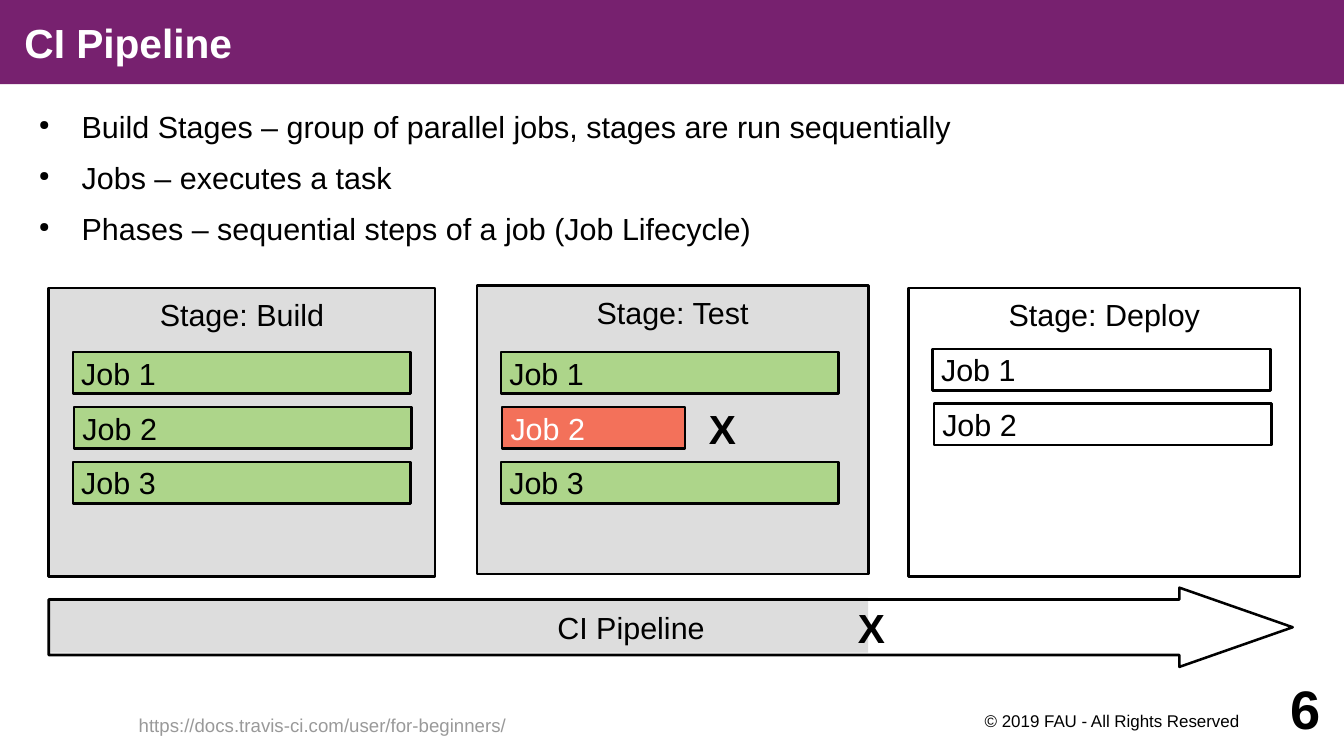
from lxml import etree
from pptx import Presentation
from pptx.dml.color import RGBColor
from pptx.enum.shapes import MSO_SHAPE
from pptx.enum.text import MSO_ANCHOR, PP_ALIGN
from pptx.oxml.ns import qn
from pptx.util import Pt

RECTANGLE, ARROW = MSO_SHAPE.RECTANGLE, MSO_SHAPE.RIGHT_ARROW
TOP, MIDDLE = MSO_ANCHOR.TOP, MSO_ANCHOR.MIDDLE
LEFT, CENTER, RIGHT = PP_ALIGN.LEFT, PP_ALIGN.CENTER, PP_ALIGN.RIGHT

COLORS = {
    "purple": "77216F", "white": "FFFFFF", "black": "000000",
    "grey": "DDDDDD", "link": "999999", "green": "ADD58A", "red": "F3715A",
}

presentation = Presentation()
presentation.slide_width, presentation.slide_height = Pt(793.44), Pt(446.4)
slide = presentation.slides.add_slide(presentation.slide_layouts[6])


def add_box(left, top, width, height, kind=RECTANGLE, fill=None, line=None):
    shape = slide.shapes.add_shape(kind, Pt(left), Pt(top), Pt(width), Pt(height))
    shape.shadow.inherit = False
    if fill:
        shape.fill.solid()
        shape.fill.fore_color.rgb = RGBColor.from_string(COLORS[fill])
    else:
        shape.fill.background()
    if line:
        shape.line.color.rgb = RGBColor.from_string(COLORS[line])
        shape.line.width = Pt(1.5)
    else:
        shape.line.fill.background()
    return shape


def write(text, shape=None, box=None, size=18, color="black", bold=False,
          align=LEFT, anchor=MIDDLE, insets=(5, 5, 5, 5), bullets=False):
    shape = shape or slide.shapes.add_textbox(*map(Pt, box))
    frame = shape.text_frame
    frame.word_wrap = True
    frame.vertical_anchor = anchor
    (frame.margin_left, frame.margin_top,
     frame.margin_right, frame.margin_bottom) = map(Pt, insets)
    frame.text = text
    for paragraph in frame.paragraphs:
        paragraph.alignment = align
        if bullets:
            paragraph.space_after = Pt(8.4)
            properties = paragraph._p.get_or_add_pPr()
            properties.set("marL", str(Pt(33.84)))
            properties.set("indent", str(-Pt(25.2)))
            etree.SubElement(properties, qn("a:buSzPct")).set("val", "45000")
            etree.SubElement(properties, qn("a:buChar")).set("char", "●")
        paragraph.font.name = "Arial"
        paragraph.font.size = Pt(size)
        paragraph.font.bold = bold
        paragraph.font.color.rgb = RGBColor.from_string(COLORS[color])


# Title bar
write("CI Pipeline", shape=add_box(0, 0, 793.44, 49.7, fill="purple"),
      size=24, color="white", bold=True, insets=(14.4, 0, 0, 0))

# Definitions
write("Build Stages – group of parallel jobs, stages are run sequentially\n"
      "Jobs – executes a task\n"
      "Phases – sequential steps of a job (Job Lifecycle)",
      box=(14.4, 64, 765.4, 100), anchor=TOP, insets=(0, 0, 0, 0), bullets=True)

# Stages with their jobs: name, left, top, width, fill, first job top, job fills
STAGES = [
    ("Build", 28.8, 170, 228.2, "grey", 208, ["green", "green", "green"]),
    ("Test", 281.5, 168.5, 231.1, "grey", 208, ["green", "red", "green"]),
    ("Deploy", 536.4, 170, 231.1, None, 206, [None, None]),
]
JOB_STEP, JOB_HEIGHT = 32.4, 24.5
for name, left, top, width, fill, job_top, job_fills in STAGES:
    stage = add_box(left, top, width, 170.6, fill=fill, line="black")
    write(f"Stage: {name}", shape=stage, align=CENTER, anchor=TOP)
    for index, job_fill in enumerate(job_fills):
        failed = job_fill == "red"
        job = add_box(left + 14.2 + index % 2 * 0.72, job_top + index * JOB_STEP,
                      108 if failed else 199.4, JOB_HEIGHT,
                      fill=job_fill, line="black")
        write(f"Job {index + 1}", shape=job, color="white" if failed else "black")

# Pipeline arrow, filled up to the failed stage
add_box(28.8, 353, 483.8, 32.4, fill="grey")
arrow = add_box(28.8, 347, 734.4, 46.8, kind=ARROW, line="black")
arrow.adjustments[0], arrow.adjustments[1] = 0.7, 1.43
write("CI Pipeline", shape=arrow, align=CENTER)

# Failure marks
for left, top in [(408.2, 232.6), (496.1, 350)]:
    write("X", box=(left, top, 36.7, 40.3), size=24, bold=True, align=CENTER)

# Footer
write("https://docs.travis-ci.com/user/for-beginners/", box=(0, 410.4, 380.9, 36),
      size=11, color="link", align=CENTER)
write("© 2019 FAU - All Rights Reserved", box=(510.5, 418.3, 226.8, 21.6),
      size=10, align=RIGHT, anchor=TOP, insets=(0, 1.4, 5.8, 0))
write("6", box=(722.9, 396.7, 56.9, 42.5), size=32, bold=True,
      align=RIGHT, insets=(0, 0, 0, 0))

presentation.save("out.pptx")
